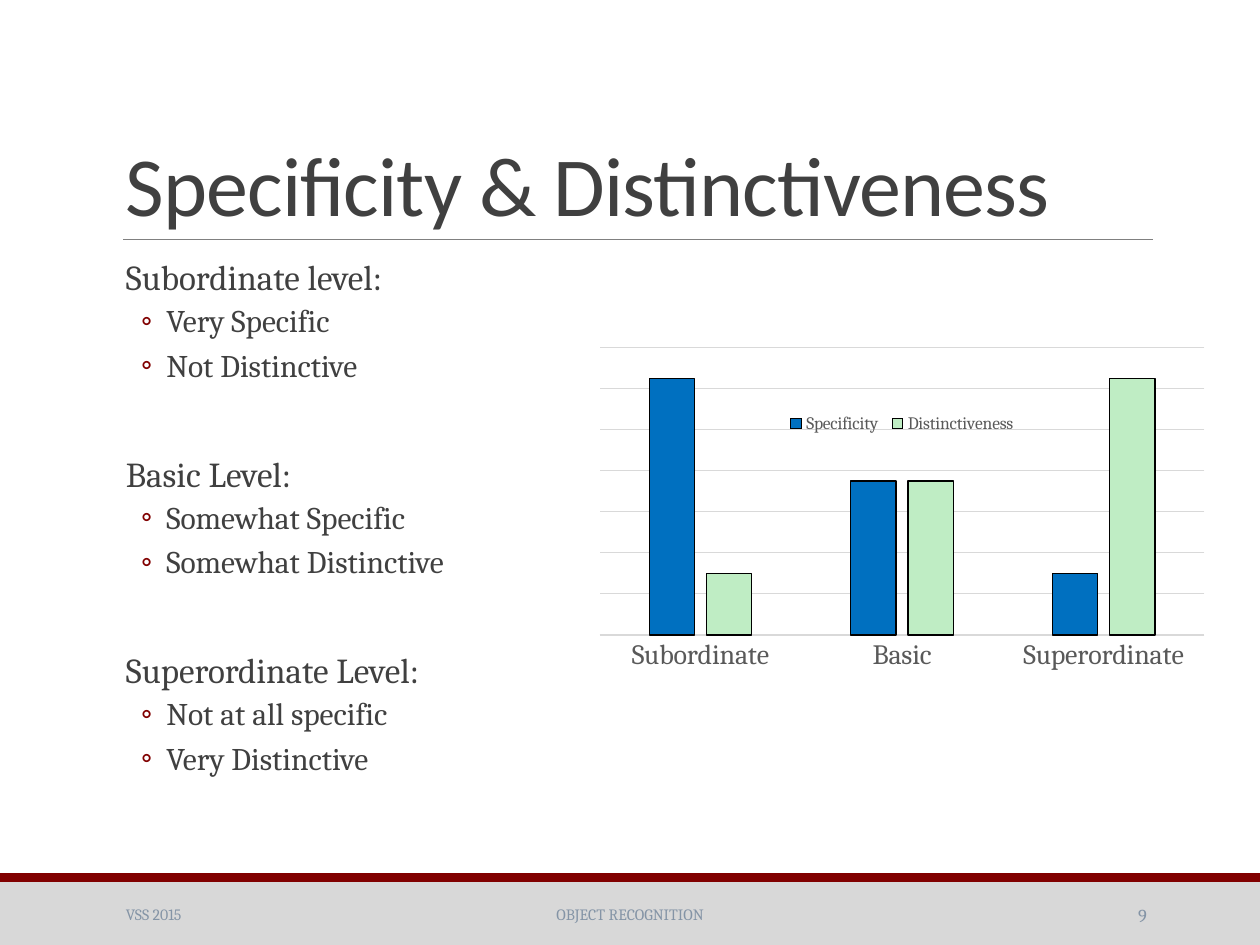
from lxml import etree
from pptx import Presentation
from pptx.chart.data import CategoryChartData
from pptx.dml.color import RGBColor
from pptx.enum.chart import XL_CHART_TYPE as ChartType, XL_LEGEND_POSITION as LegendPosition
from pptx.enum.chart import XL_TICK_LABEL_POSITION as LabelPosition, XL_TICK_MARK as TickMark
from pptx.enum.shapes import MSO_CONNECTOR as Connector, MSO_SHAPE as Shape
from pptx.enum.text import MSO_ANCHOR as Anchor, PP_ALIGN as Align
from pptx.oxml import parse_xml
from pptx.oxml.ns import nsdecls, qn
from pptx.util import Inches, Pt

COLORS = {
    "text": "404040", "accent": "810000", "band": "D8D8D8", "rule": "808080",
    "footer": "8494A6", "label": "595959", "grid": "D9D9D9", "outline": "000000",
    "Specificity": "0070C0", "Distinctiveness": "BFEDC4",
}


def style_font(font, size, color, name="Cambria"):
    values = {"size": Pt(size), "name": name, "bold": False}
    for attribute, value in values.items():
        setattr(font, attribute, value)
    font.color.rgb = RGBColor.from_string(COLORS[color])


def set_layout(element, x, y, width, height, inner=False):
    """Fix a chart part's position as fractions of the chart area."""
    for old in element.findall(qn("c:layout")):
        element.remove(old)
    target = '<c:layoutTarget val="inner"/>' if inner else ""
    layout = parse_xml(
        f'<c:layout {nsdecls("c")}><c:manualLayout>{target}'
        f'<c:xMode val="edge"/><c:yMode val="edge"/><c:x val="{x}"/><c:y val="{y}"/>'
        f'<c:w val="{width}"/><c:h val="{height}"/></c:manualLayout></c:layout>')
    position = element.find(qn("c:legendPos"))
    if position is None:
        element.insert(0, layout)
    else:
        position.addnext(layout)


presentation = Presentation()
presentation.slide_width, presentation.slide_height = Inches(10), Inches(7.5)
slide = presentation.slides.add_slide(presentation.slide_layouts[6])
shapes = slide.shapes

# Footer bands and title rule
for top, height, color in [(7, 0.5, "band"), (6.93, 0.07, "accent")]:
    band = shapes.add_shape(Shape.RECTANGLE, 0, Inches(top), Inches(10), Inches(height))
    band.shadow.inherit = False
    band.fill.solid()
    band.fill.fore_color.rgb = RGBColor.from_string(COLORS[color])
    band.line.fill.background()

rule = shapes.add_connector(Connector.STRAIGHT, Inches(0.98), Inches(1.9), Inches(9.15), Inches(1.9))
rule.line.width = Pt(0.5)
rule.line.color.rgb = RGBColor.from_string(COLORS["rule"])
etree.SubElement(rule._element.spPr, qn("a:effectLst"))

# Title and footer texts
single_lines = [
    ("Specificity & Distinctiveness", (0.9, 0.31, 8.25, 1.59), Anchor.BOTTOM, Align.LEFT, 48, "text", "Calibri"),
    ("OBJECT RECOGNITION", (3.02, 7.06, 3.96, 0.4), Anchor.MIDDLE, Align.CENTER, 9, "footer", "Cambria"),
    ("VSS 2015", (0.9, 7.06, 2.03, 0.4), Anchor.MIDDLE, Align.LEFT, 9, "footer", "Cambria"),
    ("9", (8.12, 7.06, 1.08, 0.4), Anchor.MIDDLE, Align.RIGHT, 10.5, "footer", "Cambria"),
]
for text, box, anchor, align, size, color, font_name in single_lines:
    frame = shapes.add_textbox(*map(Inches, box)).text_frame
    frame.word_wrap = True
    frame.vertical_anchor = anchor
    paragraph = frame.paragraphs[0]
    paragraph.alignment = align
    run = paragraph.add_run()
    run.text = text
    style_font(run.font, size, color, font_name)
    if size == 48:
        paragraph.line_spacing = 0.85
        run.font._element.set("spc", "-50")

# Levels and their bullets
levels = {
    "Subordinate level:": ["Very Specific", "Not Distinctive"],
    "Basic Level:": ["Somewhat Specific", "Somewhat Distinctive"],
    "Superordinate Level:": ["Not at all specific", "Very Distinctive"],
}
frame = shapes.add_textbox(Inches(0.9), Inches(2.02), Inches(3.5), Inches(4.4)).text_frame
frame.word_wrap = True
frame.margin_left = frame.margin_right = 0
paragraph = frame.paragraphs[0]
for index, (heading, points) in enumerate(levels.items()):
    if index:
        paragraph = frame.add_paragraph()
    paragraph.text = heading
    paragraph.line_spacing = 0.9
    paragraph.space_before = Pt(37.7 if index else 0)
    paragraph.space_after = Pt(2)
    paragraph._p.get_or_add_pPr().set("marL", str(Inches(0.1)))
    style_font(paragraph.runs[0].font, 20, "text")
    for point in points:
        paragraph = frame.add_paragraph()
        paragraph.text = point
        paragraph.level = 1
        paragraph.line_spacing = 0.9
        paragraph.space_before, paragraph.space_after = Pt(2), Pt(4)
        properties = paragraph._p.get_or_add_pPr()
        properties.set("marL", str(Inches(0.42)))
        properties.set("indent", str(Inches(-0.2)))
        bullet_color = etree.SubElement(properties, qn("a:buClr"))
        etree.SubElement(bullet_color, qn("a:srgbClr"), val=COLORS["accent"])
        etree.SubElement(properties, qn("a:buFont"), typeface="Calibri")
        etree.SubElement(properties, qn("a:buChar"), char="◦")
        style_font(paragraph.runs[0].font, 18, "text")

# Chart
chart_data = CategoryChartData()
chart_data.categories = ["Subordinate", "Basic", "Superordinate"]
chart_data.add_series("Specificity", (100, 60, 24))
chart_data.add_series("Distinctiveness", (24, 60, 100))
chart = shapes.add_chart(ChartType.COLUMN_CLUSTERED, Inches(4.66), Inches(2.7),
                         Inches(5), Inches(3), chart_data).chart
style_font(chart.font, 10, "outline")
chart.has_title = False
chart.has_legend = True
chart.legend.position = LegendPosition.BOTTOM
chart.legend.include_in_layout = False
style_font(chart.legend.font, 10, "label")

plot = chart.plots[0]
plot.gap_width, plot.overlap, plot.vary_by_categories = 219, -27, False
for series in plot.series:
    series.format.fill.solid()
    series.format.fill.fore_color.rgb = RGBColor.from_string(COLORS[series.name])
    series.format.line.width = Pt(0.75)
    series.format.line.color.rgb = RGBColor.from_string(COLORS["outline"])

category_axis, value_axis = chart.category_axis, chart.value_axis
category_axis.major_tick_mark = TickMark.NONE
style_font(category_axis.tick_labels.font, 16, "label")
value_axis.minimum_scale, value_axis.maximum_scale, value_axis.major_unit = 0, 112, 16
value_axis.major_tick_mark = TickMark.NONE
value_axis.tick_label_position = LabelPosition.NONE
value_axis.format.line.fill.background()
for line in (category_axis.format.line, value_axis.major_gridlines.format.line):
    line.width = Pt(0.75)
    line.color.rgb = RGBColor.from_string(COLORS["grid"])

set_layout(chart._chartSpace.chart.plotArea, 0.02, 0.02, 0.96, 0.76, inner=True)
set_layout(chart.legend._element, 0.31, 0.18, 0.38, 0.08)

presentation.save("out.pptx")
